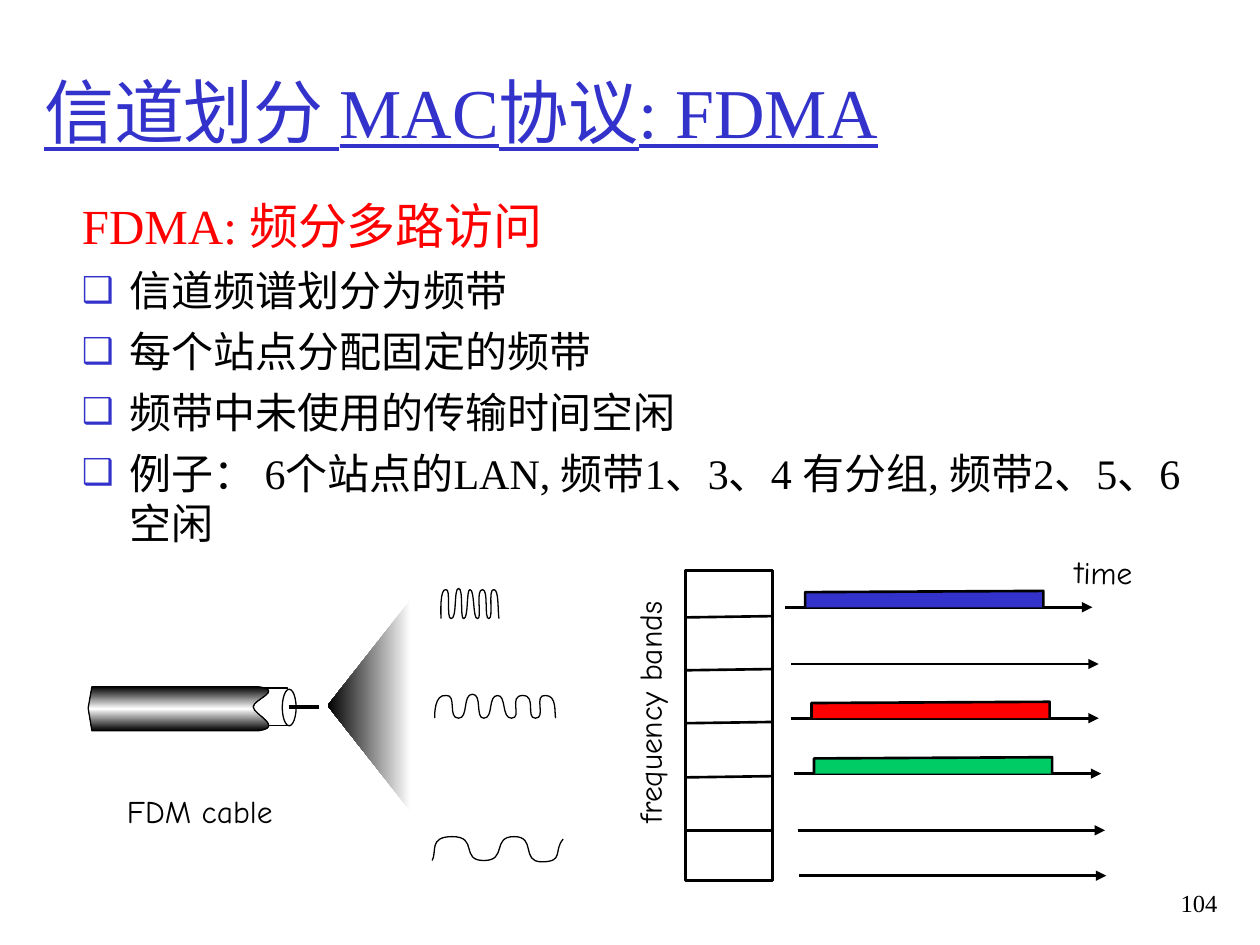
from lxml.etree import SubElement
from pptx import Presentation
from pptx.dml.color import RGBColor
from pptx.enum.shapes import MSO_CONNECTOR, MSO_SHAPE
from pptx.enum.text import MSO_ANCHOR, MSO_AUTO_SIZE, PP_ALIGN
from pptx.oxml.ns import qn
from pptx.util import Pt

PX = 9144
BLUE = RGBColor(0x33, 0x33, 0xCC)
RED = RGBColor(0xFF, 0x00, 0x00)
GREEN = RGBColor(0x00, 0xCC, 0x66)
BLACK = RGBColor(0x00, 0x00, 0x00)
WHITE = RGBColor(0xFF, 0xFF, 0xFF)
SERIF = "Times New Roman"
HAND = "Comic Neue"
HANG = Pt(27)

HEADING = "FDMA: 频分多路访问"
POINTS = [
    "信道频谱划分为频带",
    "每个站点分配固定的频带",
    "频带中未使用的传输时间空闲",
    "例子： 6个站点的LAN, 频带1、3、4 有分组, 频带2、5、6 空闲",
]
DIVIDERS = [(490, 489), (532, 531), (574, 573), (617, 616), (659, 659)]
TIMELINES = [
    (623, 482, BLUE),
    (628, 527, None),
    (628, 570, RED),
    (630, 614, GREEN),
    (633, 659, None),
    (634, 695, None),
]
SHEATH = [
    (73, 545), (70, 562), (73, 580), (205, 580),
    (226, 577, 201, 567, 201, 561), (201, 555, 226, 548, 205, 545),
]
FAST_WAVE = [
    (350, 491), (350, 486, 349, 467, 354, 468), (358, 467, 354, 491, 358, 491),
    (363, 491, 360, 467, 364, 467), (368, 467, 365, 491, 368, 491),
    (372, 491, 370, 468, 373, 468), (377, 468, 375, 491, 379, 491),
    (383, 491, 377, 468, 383, 468), (388, 468, 384, 491, 388, 491),
    (392, 491, 387, 467, 392, 468), (396, 468, 395, 484, 396, 491),
]
MIDDLE_WAVE = [
    (345, 570), (345, 566, 345, 551, 354, 552), (363, 551, 355, 570, 364, 570),
    (372, 570, 367, 551, 375, 551), (383, 551, 377, 570, 384, 570),
    (392, 570, 387, 552, 395, 552), (402, 552, 398, 570, 406, 570),
    (415, 570, 403, 552, 415, 552), (426, 552, 417, 570, 425, 570),
    (434, 570, 423, 551, 433, 552), (442, 552, 440, 565, 441, 570),
]
SLOW_WAVE = [
    (343, 683), (347, 676, 340, 664, 359, 664), (380, 664, 365, 683, 384, 683),
    (403, 683, 390, 664, 408, 664), (426, 664, 413, 684, 430, 684),
    (448, 684, 439, 675, 447, 666),
]


class SlidePainter:
    """Holds the current slide and draws each kind of element on it."""

    def __init__(self, page):
        """Keep the page to draw on."""
        self.page = page
        self.shapes = page.shapes

    def style(self, para, size, color, font=SERIF):
        """Set the font of a paragraph."""
        para.font.size = Pt(size)
        para.font.name = font
        para.font.color.rgb = color

    def place(self, box, left, top, width, height):
        """Move and size a placeholder."""
        box.left, box.top, box.width, box.height = (
            PX * length for length in (left, top, width, height))
        box.text_frame.auto_size = MSO_AUTO_SIZE.NONE
        return box.text_frame

    def title(self, text, *bounds):
        """Fill the title placeholder."""
        frame = self.place(self.shapes.title, *bounds)
        frame.vertical_anchor = MSO_ANCHOR.MIDDLE
        para = frame.paragraphs[0]
        para.text = text
        para.alignment = PP_ALIGN.LEFT
        self.style(para, 40, BLUE)
        para.font.underline = True

    def bullet(self, para, char=None):
        """Give a paragraph a hanging indent and its bullet, if any."""
        properties = para._p.get_or_add_pPr()
        properties.set("marL", str(int(HANG)))
        properties.set("indent", str(-int(HANG)))
        if char is None:
            SubElement(properties, qn("a:buNone"))
            return
        tint = SubElement(properties, qn("a:buClr"))
        SubElement(tint, qn("a:srgbClr"), val=str(BLUE))
        SubElement(properties, qn("a:buSzPct"), val="85000")
        SubElement(properties, qn("a:buChar"), char=char)

    def body(self, heading, points, *bounds):
        """Fill the body placeholder with a heading and bulleted points."""
        frame = self.place(self.shapes.placeholders[1], *bounds)
        para = frame.paragraphs[0]
        para.text = heading
        self.bullet(para)
        para.space_before = Pt(0)
        self.style(para, 28, RED)
        for point in points:
            para = frame.add_paragraph()
            para.text = point
            self.bullet(para, "❑")
            para.space_before = Pt(6)
            self.style(para, 24, BLACK)

    def label(self, text, left, top, width, height, size=18, font=HAND,
              rotation=0, align=PP_ALIGN.LEFT, wrap=False):
        """Add a text box with one line."""
        box = self.shapes.add_textbox(left * PX, top * PX, width * PX, height * PX)
        box.rotation = rotation
        box.text_frame.word_wrap = wrap
        para = box.text_frame.paragraphs[0]
        para.text = text
        para.alignment = align
        self.style(para, size, BLACK, font)

    def paint(self, shape, fill, weight):
        """Set the fill and outline of a shape."""
        shape.shadow.inherit = False
        if fill is None:
            shape.fill.background()
        else:
            shape.fill.solid()
            shape.fill.fore_color.rgb = fill
        if weight:
            shape.line.color.rgb = BLACK
            shape.line.width = Pt(weight)
        else:
            shape.line.fill.background()
        return shape

    def preset(self, kind, left, top, width, height, weight):
        """Add a white preset shape with a black outline."""
        shape = self.shapes.add_shape(kind, left * PX, top * PX, width * PX, height * PX)
        return self.paint(shape, WHITE, weight)

    def outline(self, segments, fill=None, weight=0.75, close=False):
        """Add a freeform whose segments hold a line's end or a curve's three points."""
        points = [(x * PX, y * PX) for segment in segments
                  for x, y in zip(segment[::2], segment[1::2])]
        builder = self.shapes.build_freeform(*points[0], scale=1.0)
        builder.add_line_segments(points[1:], close=close)
        shape = builder.convert_to_shape()
        track = next(shape._element.spPr.iter(qn("a:path")))
        lines = iter(track.findall(qn("a:lnTo")))
        for segment in segments[1:]:
            parts = [next(lines) for _ in range(len(segment) // 2)]
            if len(parts) == 3:
                bend = track.makeelement(qn("a:cubicBezTo"))
                parts[0].addprevious(bend)
                for part in parts:
                    bend.append(part[0])
                    track.remove(part)
        return self.paint(shape, fill, weight)

    def shade(self, shape, angle, colors):
        """Fill a shape with evenly spaced gradient colours."""
        shape.fill.gradient()
        shape.fill.gradient_angle = angle
        stops = shape._element.spPr.find(qn("a:gradFill")).find(qn("a:gsLst"))
        stops.clear()
        for index, color in enumerate(colors):
            position = 100000 * index // (len(colors) - 1)
            stop = SubElement(stops, qn("a:gs"), pos=str(position))
            SubElement(stop, qn("a:srgbClr"), val=str(color))

    def line(self, x1, y1, x2, y2, weight=1.5, arrow=False):
        """Add a straight line, with an arrowhead at its end if asked."""
        connector = self.shapes.add_connector(
            MSO_CONNECTOR.STRAIGHT, x1 * PX, y1 * PX, x2 * PX, y2 * PX)
        connector.line.color.rgb = BLACK
        connector.line.width = Pt(weight)
        properties = connector._element.spPr
        if arrow:
            SubElement(properties.find(qn("a:ln")), qn("a:tailEnd"), type="triangle")
        SubElement(properties, qn("a:effectLst"))


def main():
    """Build the slide and save it."""
    deck = Presentation()
    deck.slide_width, deck.slide_height = 1000 * PX, 750 * PX
    painter = SlidePainter(deck.slides.add_slide(deck.slide_layouts[1]))
    painter.title("信道划分 MAC协议: FDMA", 25, 25, 944, 125)
    painter.body(HEADING, POINTS, 55, 150, 899, 295)

    painter.preset(MSO_SHAPE.RECTANGLE, 544, 453, 69, 246, 1.5)
    for left_y, right_y in DIVIDERS:
        painter.line(544, left_y, 613, right_y)
    for x, y, color in TIMELINES:
        painter.line(x, y, x + 244, y, arrow=True)
        if color is not None:
            start, end = x + 16, x + 205
            painter.outline([(start, y), (start, y - 12), (end, y - 13), (end, y)],
                            color, 1.5)
    painter.label("frequency bands", 417, 545, 197, 40, rotation=270)
    painter.label("time", 843, 434, 66, 40, rotation=1.1)

    beam = painter.outline([(326, 476), (260, 560), (326, 644)], WHITE, 0, close=True)
    painter.shade(beam, 180, [WHITE, BLACK])
    painter.preset(MSO_SHAPE.RECTANGLE, 199, 546, 29, 30, 0.75)
    cable = painter.outline(SHEATH, WHITE, close=True)
    painter.shade(cable, 90, [BLACK, WHITE, BLACK])
    painter.preset(MSO_SHAPE.OVAL, 224, 547, 11, 29, 0.75)
    painter.line(229, 561, 253, 561, 2.25)
    for wave in (MIDDLE_WAVE, FAST_WAVE, SLOW_WAVE):
        painter.outline(wave)
    painter.label("FDM cable", 91, 624, 136, 40)
    painter.label("104", 908, 700, 68, 50, 14, SERIF, align=PP_ALIGN.RIGHT, wrap=True)
    deck.save("out.pptx")


if __name__ == "__main__":
    main()
